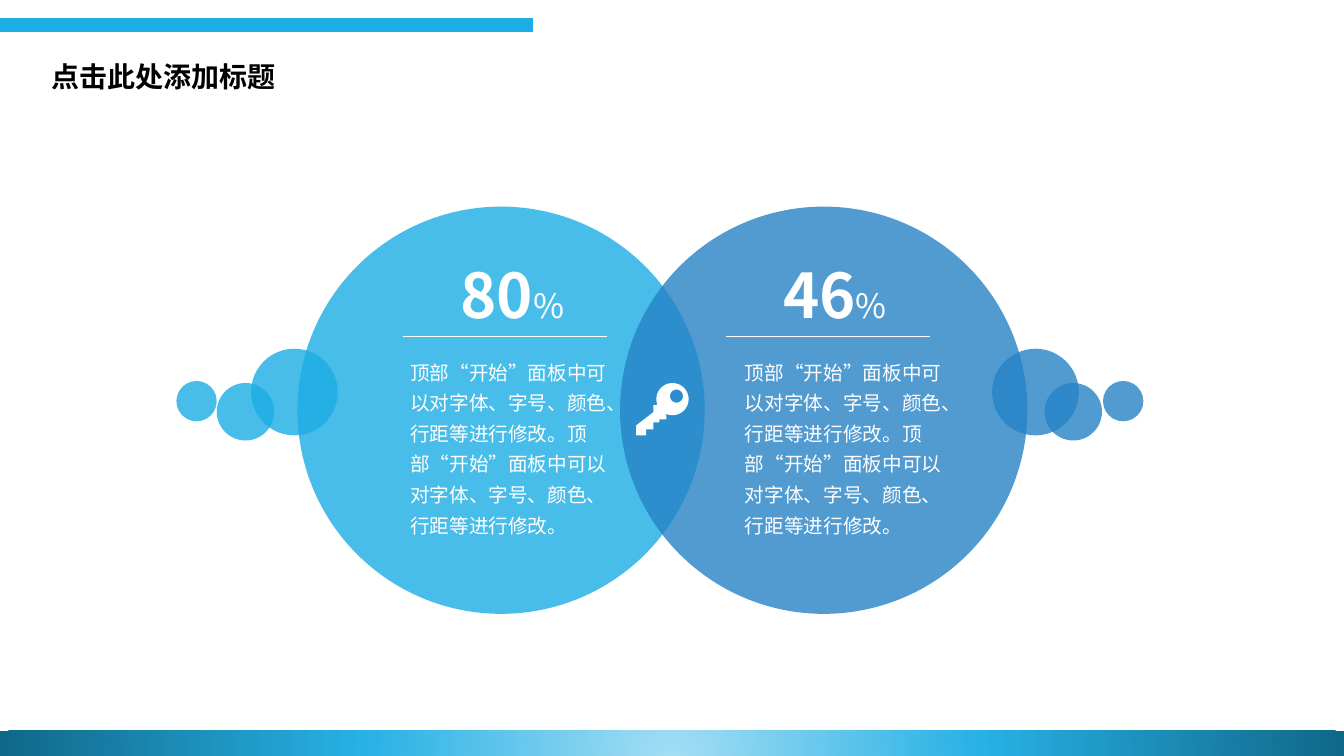
from math import cos, radians, sin

from lxml import etree
from pptx import Presentation
from pptx.dml.color import RGBColor
from pptx.enum.shapes import MSO_CONNECTOR, MSO_SHAPE
from pptx.enum.text import MSO_ANCHOR
from pptx.oxml import parse_xml
from pptx.oxml.ns import nsdecls, qn
from pptx.util import Inches, Pt

OVAL, RECT = MSO_SHAPE.OVAL, MSO_SHAPE.RECTANGLE
STRAIGHT = MSO_CONNECTOR.STRAIGHT
TOP, MIDDLE = MSO_ANCHOR.TOP, MSO_ANCHOR.MIDDLE
FONT = "Noto Sans CJK SC"
COLORS = {"sky": "1CADE4", "blue": "2683C6", "white": "FFFFFF", "black": "000000"}
FOOTER_STOPS = [(0, "A4DEF4"), (46, "27B1E5"), (100, "106889")]

ADVICE = "顶部“开始”面板中可以对字体、字号、颜色、行距等进行修改。" * 2
DIAMETER = 4.04
CIRCLE_TOP = 2.05
# Satellites: left and top from the circle's box, then diameter.
CIRCLES = [
    {"left": 2.95, "color": "sky", "value": "80", "advice_left": 1.02,
     "satellites": [(-0.46, 1.41, 0.86), (-0.8, 1.75, 0.57), (-1.2, 1.73, 0.4)]},
    {"left": 6.15, "color": "blue", "value": "46", "advice_left": 1.14,
     "satellites": [(3.69, 1.41, 0.86), (4.21, 1.75, 0.57), (4.79, 1.73, 0.4)]},
]
# Key outline from its box: the shank leads into the round bow.
KEY_SHANK = [(0, 0.42), (0, 0.52), (0.1, 0.52), (0.1, 0.46), (0.17, 0.46),
             (0.17, 0.39), (0.23, 0.39), (0.23, 0.36), (0.3, 0.36)]
KEY_NECK = [(0.17, 0.22), (0.17, 0.29)]


def rgb(name):
    return RGBColor.from_string(COLORS[name])


def add_line(slide, left, right, y, color, weight):
    line = slide.shapes.add_connector(
        STRAIGHT, Inches(left), Inches(y), Inches(right), Inches(y))
    line.line.color.rgb = rgb(color)
    line.line.width = Pt(weight)
    etree.SubElement(line._element.spPr, qn("a:effectLst"))


def add_text(slide, box, runs, color, anchor=TOP, spacing=1.0):
    """Place one paragraph made of (text, size, bold) runs."""
    frame = slide.shapes.add_textbox(*map(Inches, box)).text_frame
    frame.word_wrap = True
    frame.vertical_anchor = anchor
    paragraph = frame.paragraphs[0]
    paragraph.line_spacing = spacing
    for text, size, bold in runs:
        run = paragraph.add_run()
        run.text = text
        for key, value in {"name": FONT, "size": Pt(size), "bold": bold}.items():
            setattr(run.font, key, value)
        run.font.color.rgb = rgb(color)
        etree.SubElement(run._r.rPr, qn("a:ea"), typeface=FONT)


def add_disc(slide, left, top, diameter, color):
    """Draw an unlined circle at 80% opacity."""
    disc = slide.shapes.add_shape(
        OVAL, Inches(left), Inches(top), Inches(diameter), Inches(diameter))
    disc.shadow.inherit = False
    disc.fill.solid()
    disc.fill.fore_color.rgb = rgb(color)
    disc.line.fill.background()
    srgb = disc._element.spPr.find(qn("a:solidFill")).find(qn("a:srgbClr"))
    etree.SubElement(srgb, qn("a:alpha"), val="80000")


def add_header(slide, left, top):
    add_line(slide, left, left + 5.29, top, "sky", 10)
    add_text(slide, (left + 0.41, top + 0.24, 4.88, 0.58),
             [("点击此处添加标题", 20, True)], "black", MIDDLE, 0.9)


def add_footer(slide, left, top, width, height):
    """Draw a band whose radial gradient is centred below it."""
    band = slide.shapes.add_shape(
        RECT, Inches(left), Inches(top), Inches(width), Inches(height))
    band.shadow.inherit = False
    band.line.fill.background()
    stops = "".join(f'<a:gs pos="{pos * 1000}"><a:srgbClr val="{color}"/></a:gs>'
                    for pos, color in FOOTER_STOPS)
    gradient = parse_xml(
        f'<a:gradFill {nsdecls("a")} rotWithShape="1"><a:gsLst>{stops}</a:gsLst>'
        '<a:path path="circle"><a:fillToRect l="50000" t="130000" r="50000"'
        ' b="-30000"/></a:path></a:gradFill>')
    band._element.spPr.find(qn("a:prstGeom")).addnext(gradient)


def arc(x, y, radius, start, end, steps=32):
    """Return points on an arc, with angles in degrees."""
    angles = [radians(start + (end - start) * i / steps) for i in range(steps + 1)]
    return [(x + radius * cos(a), y + radius * sin(a)) for a in angles]


def add_key(slide, left, top):
    bow = arc(0.36, 0.16, 0.16, 113, -201)
    hole = arc(0.4, 0.13, 0.065, 0, 360)
    outline, cutout = (
        [(Inches(left + x), Inches(top + y)) for x, y in points]
        for points in (KEY_SHANK + bow + KEY_NECK, hole))
    builder = slide.shapes.build_freeform(*outline[0], scale=1.0)
    builder.add_line_segments(outline[1:], close=True)
    builder.move_to(*cutout[0])
    builder.add_line_segments(cutout[1:], close=True)
    key = builder.convert_to_shape()
    key.shadow.inherit = False
    key.fill.solid()
    key.fill.fore_color.rgb = rgb("white")
    key.line.fill.background()


def add_circle_content(slide, left, top, circle):
    add_text(slide, (left + 1.52, top + 0.45, 1.34, 0.84),
             [(circle["value"], 44, True), ("%", 24, False)], "white")
    add_line(slide, left + 1.05, left + 3.07, top + 1.29, "white", 0.5)
    add_text(slide, (left + circle["advice_left"], top + 1.41, 2.17, 1.94),
             [(ADVICE, 14, False)], "white", spacing=1.3)
    for dx, dy, diameter in circle["satellites"]:
        add_disc(slide, left + dx, top + dy, diameter, circle["color"])


def main():
    deck = Presentation()
    deck.slide_width, deck.slide_height = Inches(13.33), Inches(7.5)
    slide = deck.slides.add_slide(deck.slide_layouts[6])
    add_header(slide, 0, 0.25)
    add_footer(slide, 0, 7.25, 13.33, 0.29)
    for circle in CIRCLES:
        add_disc(slide, circle["left"], CIRCLE_TOP, DIAMETER, circle["color"])
    add_key(slide, 6.31, 3.8)
    for circle in CIRCLES:
        add_circle_content(slide, circle["left"], CIRCLE_TOP, circle)
    deck.save("out.pptx")


if __name__ == "__main__":
    main()
